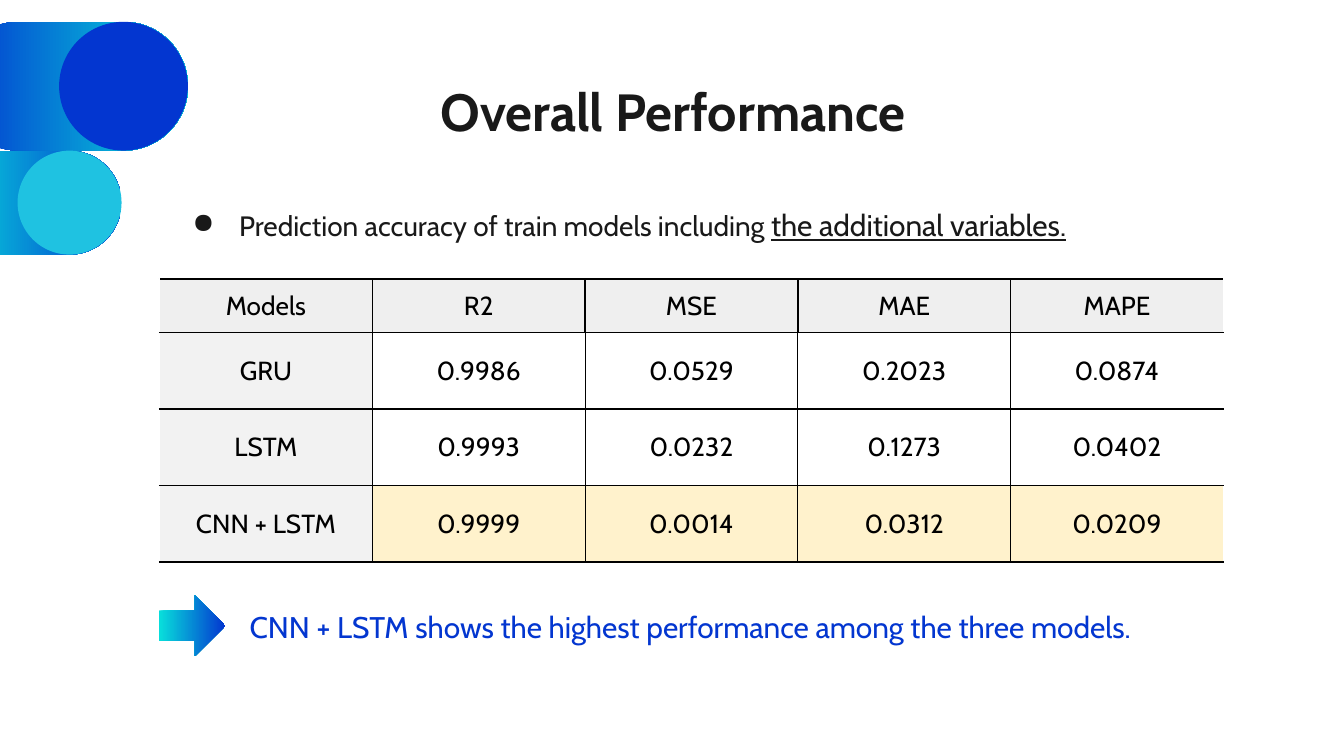
from lxml import etree
from pptx import Presentation
from pptx.dml.color import RGBColor
from pptx.enum import shapes, text
from pptx.oxml.ns import qn
from pptx.util import Pt

COLORS = {
    "ink": "191919", "black": "000000", "white": "FFFFFF",
    "blue": "0336D0", "teal": "08E0DB", "cyan": "1FC2E1",
    "header": "EFEFEF", "model": "F2F2F2", "best": "FFF2CC",
}
RESULTS = [
    ["Models", "R2", "MSE", "MAE", "MAPE"],
    ["GRU", "0.9986", "0.0529", "0.2023", "0.0874"],
    ["LSTM", "0.9993", "0.0232", "0.1273", "0.0402"],
    ["CNN + LSTM", "0.9999", "0.0014", "0.0312", "0.0209"],
]
LEFT = 85


def rgb(name):
    return RGBColor.from_string(COLORS[name])


class Deck:
    """Holds the text style and the slide being filled; lengths are in points."""

    font = "Cabin"

    def __init__(self, slide):
        self.slide = slide

    def style(self, run, size, color, bold=False, underline=False):
        font = run.font
        font.name, font.size, font.bold = self.font, Pt(size), bold
        font.underline = underline
        font.color.rgb = rgb(color)

    def shape(self, kind, box, colors, adjustment=None):
        """One colour gives a solid fill, two a left-to-right gradient."""
        shape = self.slide.shapes.add_shape(kind, *map(Pt, box))
        shape.shadow.inherit = False
        shape.line.fill.background()
        if adjustment is not None:
            shape.adjustments[0] = adjustment
        if len(colors) == 1:
            shape.fill.solid()
            shape.fill.fore_color.rgb = rgb(colors[0])
        else:
            shape.fill.gradient()
            shape.fill.gradient_angle = 0
            for stop, color in zip(shape.fill.gradient_stops, colors):
                stop.color.rgb = rgb(color)

    def pill(self, left, top, width, height, gradient, disc):
        """A rounded bar with a disc filling its right end."""
        self.shape(shapes.MSO_SHAPE.ROUNDED_RECTANGLE, (left, top, width, height), gradient, 0.5)
        self.shape(shapes.MSO_SHAPE.OVAL, (left + width - height, top, height, height), [disc])

    def text(self, box, runs, color, align=text.PP_ALIGN.LEFT, bold=False):
        """Runs are (wording, size, underlined); returns the paragraph."""
        frame = self.slide.shapes.add_textbox(*map(Pt, box)).text_frame
        frame.word_wrap = True
        frame.margin_left = frame.margin_right = Pt(7.2)
        frame.margin_top = frame.margin_bottom = Pt(7.2)
        paragraph = frame.paragraphs[0]
        paragraph.alignment = align
        for wording, size, underline in runs:
            run = paragraph.add_run()
            run.text = wording
            self.style(run, size, color, bold, underline)
        return paragraph

    def bullet(self, paragraph, color):
        props = paragraph._p.get_or_add_pPr()
        props.set("marL", str(Pt(36)))
        props.set("indent", str(-Pt(25)))
        tint = etree.SubElement(props, qn("a:buClr"))
        etree.SubElement(tint, qn("a:srgbClr"), val=COLORS[color])
        etree.SubElement(props, qn("a:buChar"), char="●")

    def border(self, cell, side, color, width):
        line = etree.SubElement(cell._tc.get_or_add_tcPr(), qn(f"a:ln{side}"), w=str(Pt(width)))
        fill = etree.SubElement(line, qn("a:solidFill"))
        etree.SubElement(fill, qn("a:srgbClr"), val=COLORS[color])

    def table(self, left, top, col_width, row_heights, rows):
        last_row, last_col = len(rows) - 1, len(rows[0]) - 1
        table = self.slide.shapes.add_table(
            len(rows), len(rows[0]), Pt(left), Pt(top),
            Pt(col_width * len(rows[0])), Pt(sum(row_heights))).table
        table.first_row = table.horz_banding = False
        for column in table.columns:
            column.width = Pt(col_width)

        def vertical(row, edge):
            if edge in (0, last_col + 1):
                return "white", 1
            return "black", 0.75 if row and edge in (2, 3) else 1

        def horizontal(edge, col):
            return "black", 0.75 if col and 0 < edge <= last_row else 1

        for r, values in enumerate(rows):
            table.rows[r].height = Pt(row_heights[r])
            for c, value in enumerate(values):
                cell = table.cell(r, c)
                cell.text_frame.text = value
                paragraph = cell.text_frame.paragraphs[0]
                paragraph.alignment = text.PP_ALIGN.CENTER
                self.style(paragraph.runs[0], 14, "black")
                cell.vertical_anchor = text.MSO_ANCHOR.MIDDLE
                cell.margin_left = cell.margin_right = Pt(5)
                cell.margin_top = cell.margin_bottom = Pt(5)
                self.border(cell, "L", *vertical(r, c))
                self.border(cell, "R", *vertical(r, c + 1))
                self.border(cell, "T", *horizontal(r, c))
                self.border(cell, "B", *horizontal(r + 1, c))
                fill = ("header" if r == 0 else "model" if c == 0
                        else "best" if r == last_row else None)
                if fill:
                    cell.fill.solid()
                    cell.fill.fore_color.rgb = rgb(fill)
                else:
                    cell.fill.background()


def main():
    prs = Presentation()
    prs.slide_width, prs.slide_height = Pt(720), Pt(405)
    deck = Deck(prs.slides.add_slide(prs.slide_layouts[6]))

    deck.text((57, 35.3, 607, 45), [("Overall Performance", 28, False)], "ink",
              text.PP_ALIGN.CENTER, bold=True)
    deck.pill(-24.5, 11.7, 125.2, 69, ["blue", "teal"], "blue")
    deck.pill(-33.2, 80.7, 98.3, 55.7, ["teal", "blue"], "cyan")

    scope = deck.text((LEFT, 103.7, 570, 34), [
        ("Prediction accuracy of train models including ", 15, False),
        ("the additional variables.", 16, True)], "ink")
    deck.bullet(scope, "ink")

    deck.table(LEFT + 0.5, 149.6, 114, [28.5, 41, 41, 41], RESULTS)

    deck.text((126.7, 319, 570, 34), [
        ("CNN + LSTM shows the highest performance among the three models.", 16, False)], "blue")
    deck.shape(shapes.MSO_SHAPE.RIGHT_ARROW, (LEFT, 319, 35.7, 32.5), ["teal", "blue"])

    prs.save("out.pptx")


if __name__ == "__main__":
    main()
